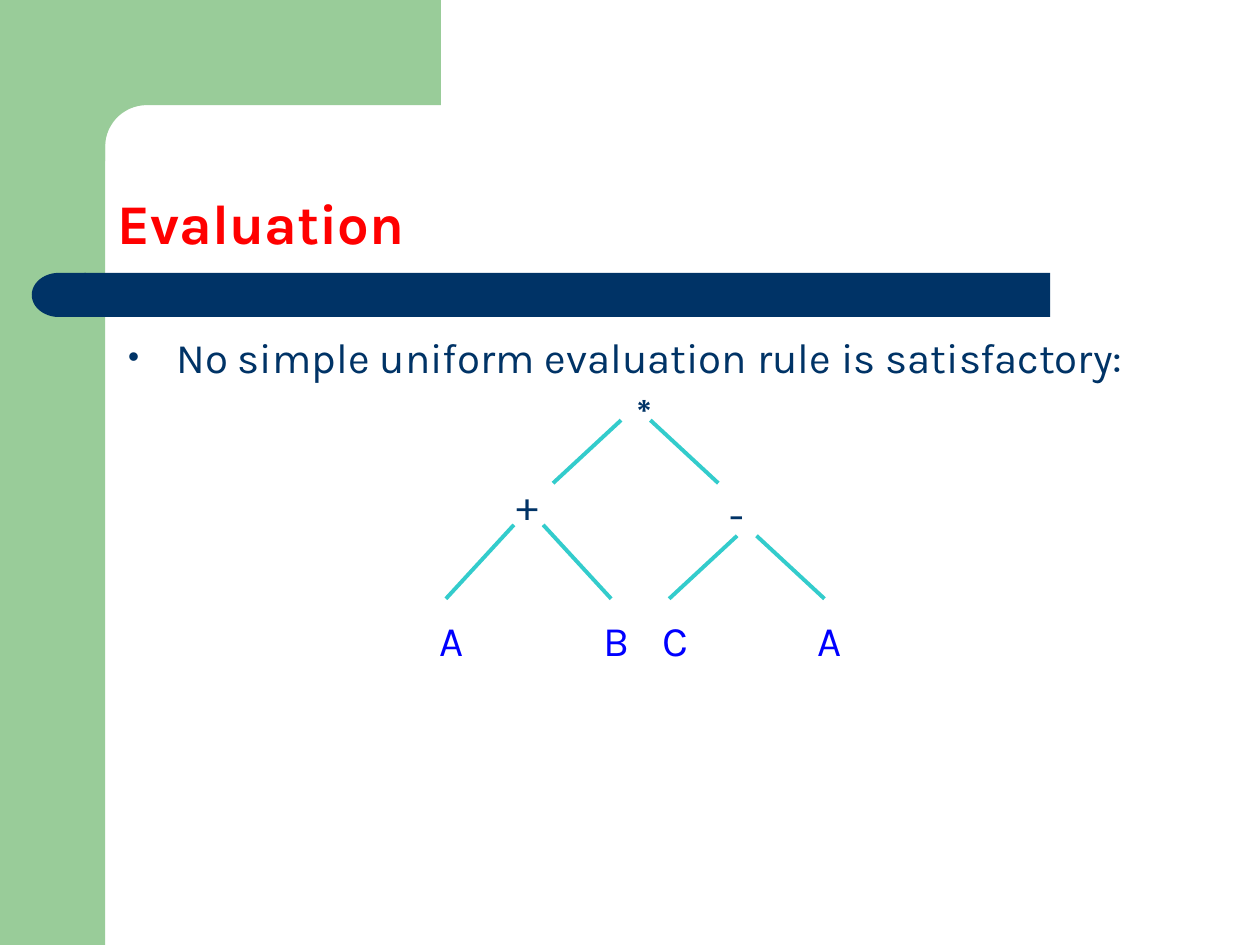
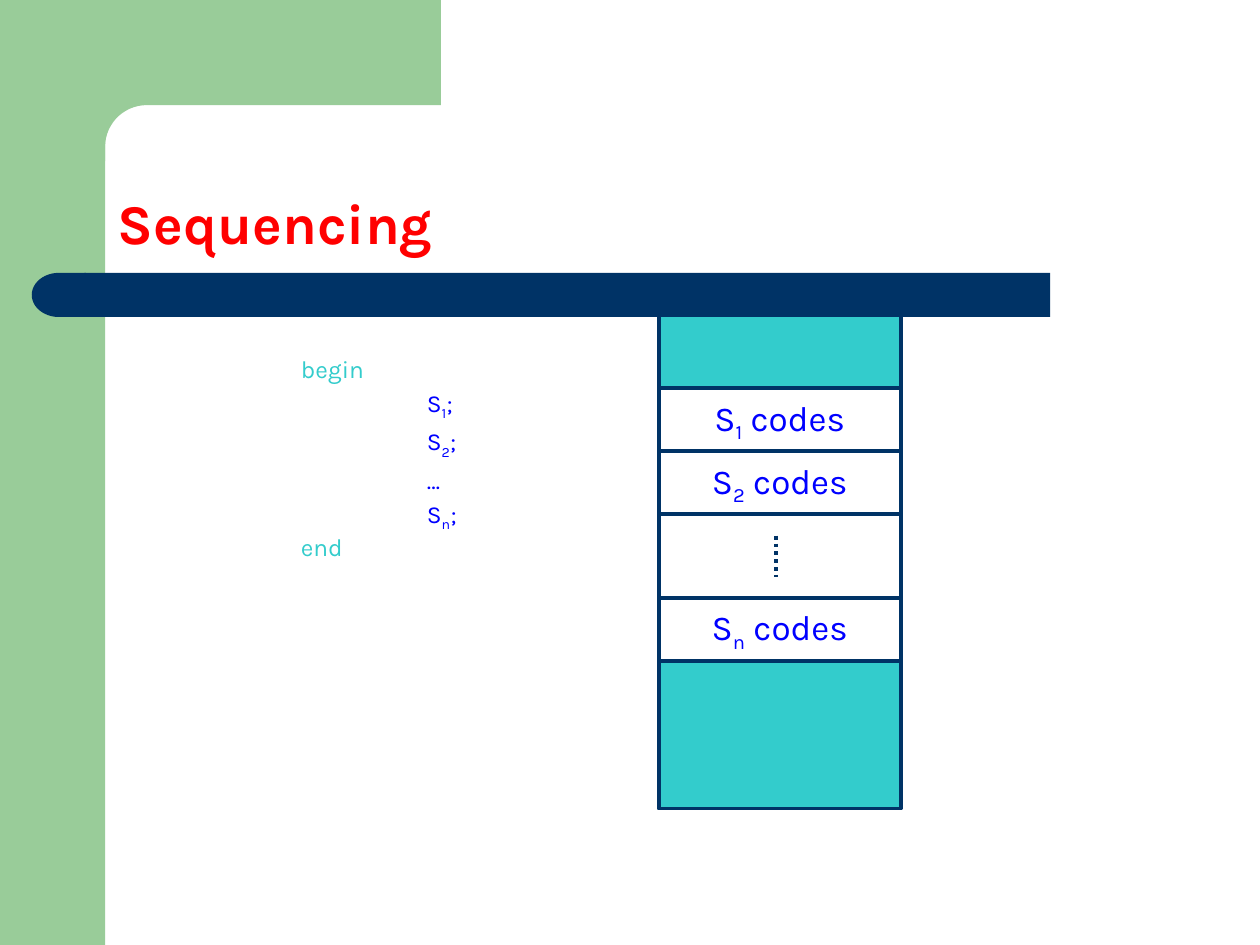
import math
from pptx import Presentation, util as u
from pptx.dml.color import RGBColor
from pptx.enum import dml, shapes, text
from pptx.oxml import xmlchemy

# Content; lengths in cm, _x_ marks a subscript
COLORS = {"green": "99CC99", "navy": "003366", "red": "FF0000",
          "blue": "0000FF", "teal": "33CCCC"}
FONT = "Karla"
LINE_WIDTH = u.Pt(2.25)
TITLES = ["Evaluation", "Sequencing"]
RULE = "No simple uniform evaluation rule is satisfactory:"
# symbol, left, top, colour, font
NODES = [("\u2217", 12.32, 7.42, "navy", "Arial"),
         ("+", 10.16, 9.53, "navy", FONT),
         ("-", 14.45, 9.73, "navy", FONT)]
NODES += [(leaf, left, 12.27, "blue", FONT)
          for leaf, left in zip("ABCA", (8.61, 11.91, 13.11, 16.23))]
# left start, right start, top, bottom of each pair of branches
FORKS = [(12.52, 13.11, 8.47, 9.74), (10.36, 10.95, 10.58, 12.07),
         (14.86, 15.25, 10.8, 12.07)]
FORK_SPREAD = 1.37
# text, left margin, colour, line spacing
PROGRAM = [("begin", 3.48, "teal", 0.8)]
PROGRAM += [(line, 6.02, "blue", 1.0) for line in ("S_1_;", "S_2_;", "\u2026", "S_n_;")]
PROGRAM += [("end", 3.48, "teal", 0.8)]
# label, height, fill
MEMORY = [("", 1.48, "teal"), ("S_1_ codes", 1.27, None), ("S_2_ codes", 1.27, None),
          ("", 1.69, None), ("S_n_ codes", 1.27, None), ("", 2.97, "teal")]
MEMORY_LEFT, MEMORY_TOP, MEMORY_WIDTH = 13.28, 6.35, 4.88


def cm(*lengths):
    return [u.Cm(length) for length in lengths]


def color(name):
    return RGBColor.from_string(COLORS[name])


def write(paragraph, content, size=24, fill="navy", font=FONT, bold=False,
          align=text.PP_ALIGN.LEFT, spacing=1.0, before=0, margin=0, indent=0, bullet=None):
    paragraph.alignment = align
    paragraph.line_spacing = spacing
    paragraph.space_before = u.Pt(before)
    properties = paragraph._p.get_or_add_pPr()
    properties.set("marL", str(u.Cm(margin)))
    properties.set("indent", str(u.Cm(indent)))
    if bullet:
        bullet_color = add_xml(properties, "a:buClr")
        add_xml(bullet_color, "a:srgbClr", val=COLORS[fill])
        add_xml(properties, "a:buSzPct", val="75000")
        add_xml(properties, "a:buFont", typeface="Arial")
        add_xml(properties, "a:buChar", char=bullet)
    else:
        add_xml(properties, "a:buNone")
    for index, part in enumerate(content.split("_")):
        run = paragraph.add_run()
        run.text = part
        run.font.name, run.font.size, run.font.bold = font, u.Pt(size), bold
        run.font.color.rgb = color(fill)
        if index % 2:
            run.font._element.set("baseline", "-25000")


def add_xml(parent, tag, **attributes):
    child = xmlchemy.OxmlElement(tag)
    for name, value in attributes.items():
        child.set(name, value)
    parent.append(child)
    return child


def style(shape, fill=None, line=None):
    shape.shadow.inherit = False
    if fill:
        shape.fill.solid()
        shape.fill.fore_color.rgb = color(fill)
    else:
        shape.fill.background()
    if line:
        shape.line.color.rgb = color(line)
        shape.line.width = LINE_WIDTH
    else:
        shape.line.fill.background()
    return shape


def add_box(slide, kind, box, **look):
    return style(slide.shapes.add_shape(kind, *cm(*box)), **look)


def add_line(slide, start, end, line):
    connector = slide.shapes.add_connector(
        shapes.MSO_CONNECTOR.STRAIGHT, *cm(*start, *end))
    connector.line.color.rgb = color(line)
    connector.line.width = LINE_WIDTH
    add_xml(connector.element.spPr, "a:effectLst")
    return connector


def place(shape, box):
    shape.left, shape.top, shape.width, shape.height = cm(*box)


def draw_frame(slide):
    """Green corner and navy band, moved to the slide master."""
    kinds = shapes.MSO_SHAPE
    side = add_box(slide, kinds.RECTANGLE, (0, 0, 2.12, 19.05), fill="green")
    radius, edge = 0.84, 2.12
    arc = [(edge + radius * (1 - math.sin(angle)), edge + radius * (1 - math.cos(angle)))
           for angle in (math.radians(step) for step in range(0, 91, 6))]
    outline = [(8.89, edge), *arc, (edge, 3.25), (1.27, 3.25), (1.27, 0)]
    builder = slide.shapes.build_freeform(*cm(8.89, 0))
    builder.add_line_segments([cm(*point) for point in outline], close=True)
    corner = style(builder.convert_to_shape(), fill="green")
    band = add_box(slide, kinds.RECTANGLE, (1.7, 5.5, 19.47, 0.89), fill="navy")
    cap = add_box(slide, kinds.FLOWCHART_DELAY, (0.64, 5.5, 1.09, 0.89), fill="navy")
    cap.rotation = 180
    tree = slide.slide_layout.slide_master.shapes.element
    for shape in (side, corner, band, cap):
        tree.append(shape.element)


def new_slide(presentation, title, body_height):
    slide = presentation.slides.add_slide(presentation.slide_layouts[1])
    heading, body = slide.placeholders
    place(heading, (2.12, 2.12, 22.01, 3.18))
    place(body, (2.33, 6.56, 21.36, body_height))
    for shape in (heading, body):
        shape.text_frame.auto_size = text.MSO_AUTO_SIZE.NONE
    heading.text_frame.vertical_anchor = text.MSO_ANCHOR.BOTTOM
    write(heading.text_frame.paragraphs[0], title, size=32, fill="red", bold=True, spacing=0.9)
    return slide, body.text_frame


presentation = Presentation()
presentation.slide_width, presentation.slide_height = cm(25.4, 19.05)

# Evaluation: rule and expression tree
slide, body = new_slide(presentation, TITLES[0], 3.07)
draw_frame(slide)
write(body.paragraphs[0], RULE, margin=0.97, indent=-0.97, bullet="\u2022")
for symbol, left, top, fill, font in NODES:
    frame = slide.shapes.add_textbox(*cm(left, top, 0.98, 1.27)).text_frame
    frame.word_wrap = True
    write(frame.paragraphs[0], symbol, fill=fill, font=font)
for left, right, top, bottom in FORKS:
    add_line(slide, (left, top), (left - FORK_SPREAD, bottom), "teal")
    add_line(slide, (right, top), (right + FORK_SPREAD, bottom), "teal")

# Sequencing: program text
slide, body = new_slide(presentation, TITLES[1], 10.34)
body.margin_top = u.Cm(0.69)
for index, (line, margin, fill, spacing) in enumerate(PROGRAM):
    paragraph = body.add_paragraph() if index else body.paragraphs[0]
    write(paragraph, line, size=14, fill=fill, spacing=spacing, margin=margin,
          before=2.8 if index else 0)

# Sequencing: memory layout
top = MEMORY_TOP
for label, height, fill in MEMORY:
    cell = add_box(slide, shapes.MSO_SHAPE.RECTANGLE,
                   (MEMORY_LEFT, top, MEMORY_WIDTH, height), fill=fill, line="navy")
    if label:
        cell.text_frame.word_wrap = False
        cell.text_frame.vertical_anchor = text.MSO_ANCHOR.MIDDLE
        write(cell.text_frame.paragraphs[0], label, size=20, fill="blue",
              align=text.PP_ALIGN.CENTER)
    elif not fill:
        dots = add_line(slide, (15.65, top + 0.43), (15.65, top + 1.27), "navy")
        dots.line.dash_style = dml.MSO_LINE.ROUND_DOT
    top += height

presentation.save("out.pptx")
